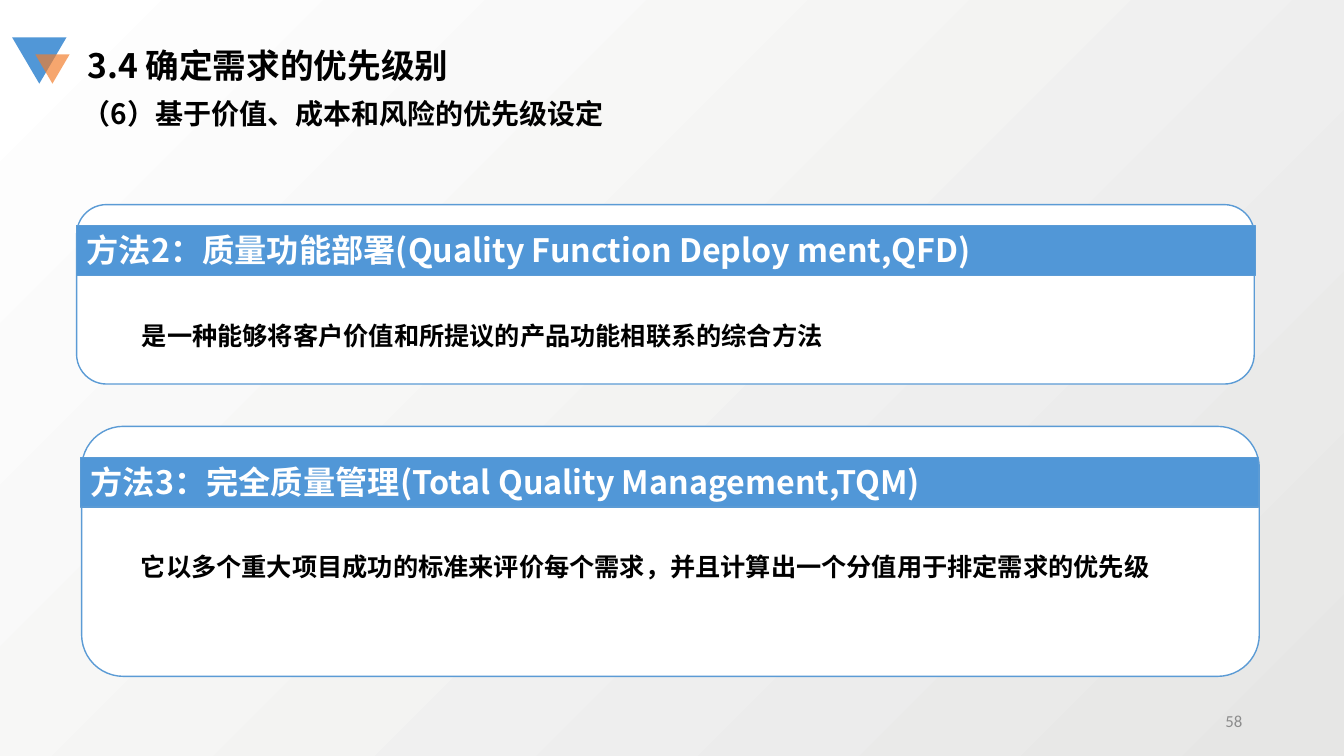
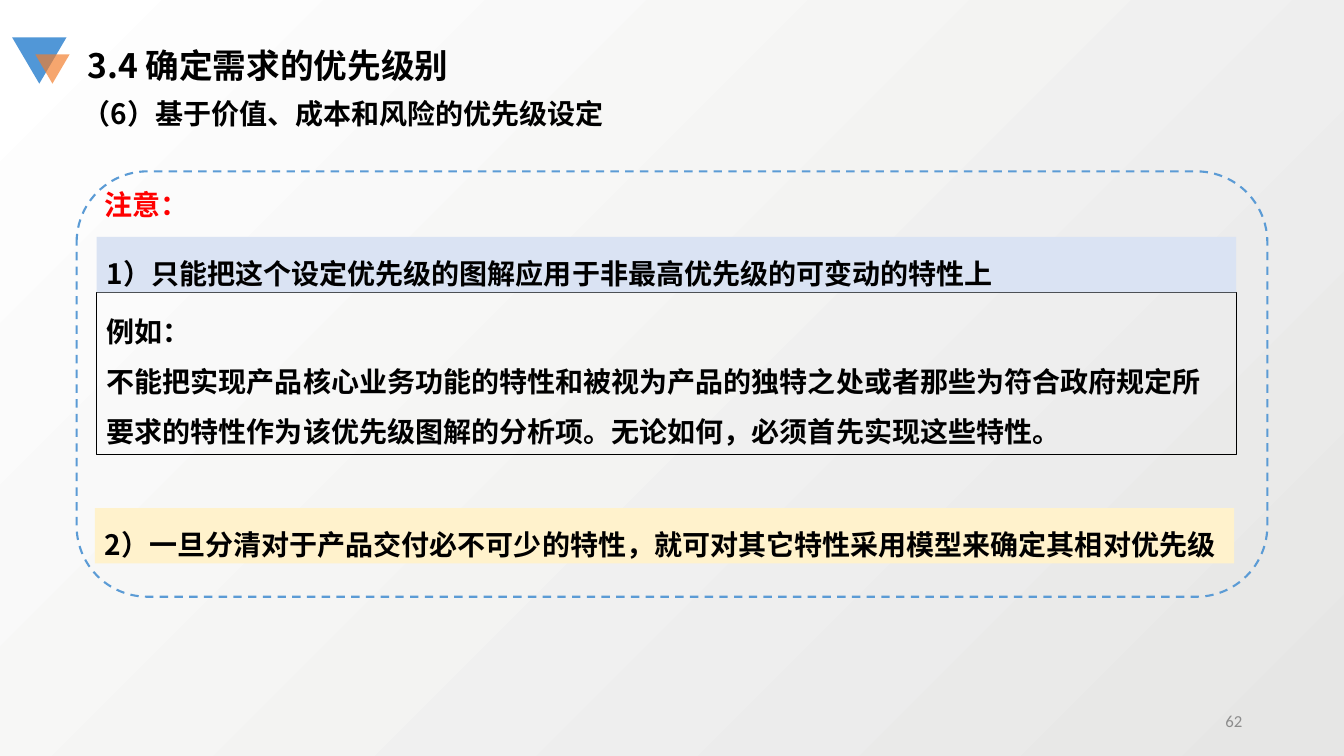
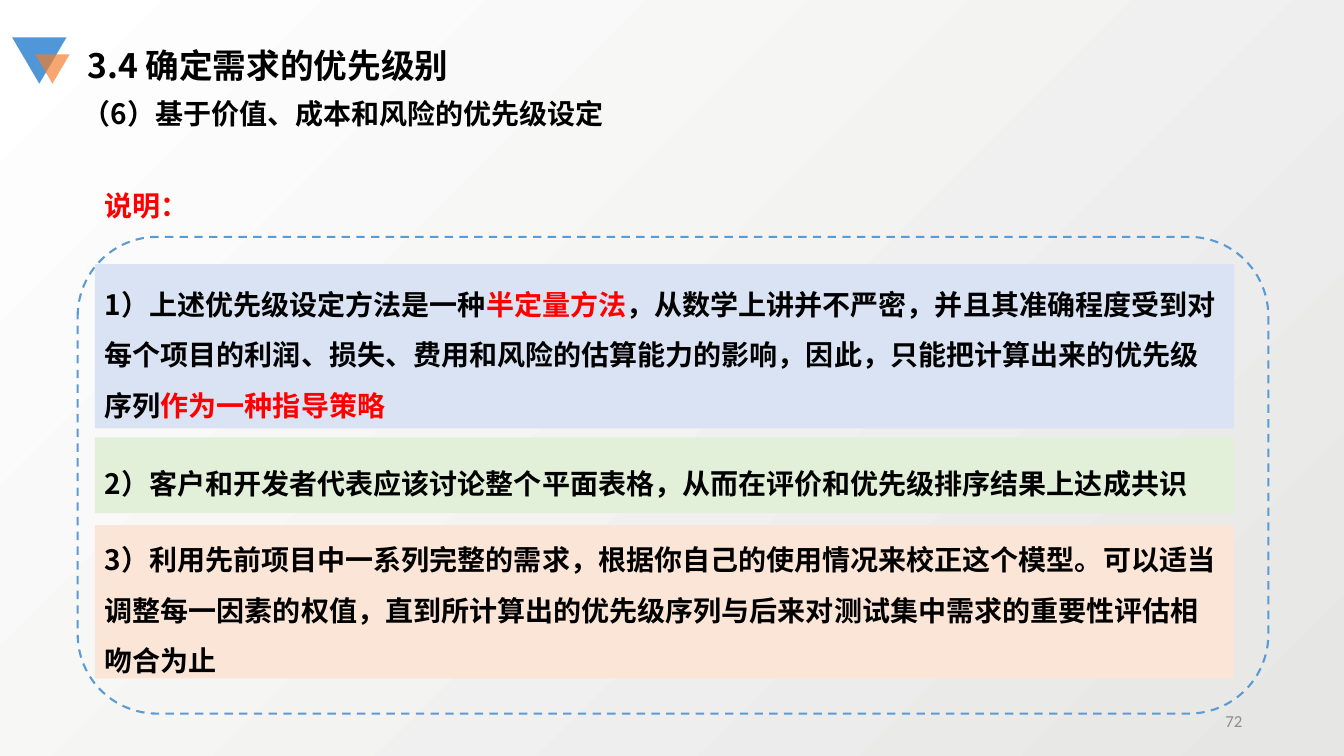
from lxml.etree import SubElement
from pptx import Presentation
from pptx.dml.color import RGBColor
from pptx.enum.dml import MSO_LINE
from pptx.enum.shapes import MSO_SHAPE as Shape
from pptx.enum.text import MSO_ANCHOR as Anchor, PP_ALIGN as Align
from pptx.oxml.ns import qn
from pptx.util import Pt

# Shared look
EMU_PER_PX = 9144  # 100 px to the inch
CJK, LATIN = "Noto Sans CJK SC", "Calibri"
BLACK = RGBColor(0x00, 0x00, 0x00)
WHITE = RGBColor(0xFF, 0xFF, 0xFF)
RED = RGBColor(0xFF, 0x00, 0x00)
GRAY = RGBColor(0x8C, 0x8C, 0x8C)
BACK_DARK = RGBColor(0xE6, 0xE6, 0xE5)
BLUE = RGBColor(0x51, 0x97, 0xD7)
OUTLINE = RGBColor(0x5B, 0x9B, 0xD5)
ORANGE = RGBColor(0xF3, 0x7D, 0x2A)
PALE_BLUE = RGBColor(0xDA, 0xE3, 0xF3)
PALE_YELLOW = RGBColor(0xFF, 0xF2, 0xCC)
PALE_GREEN = RGBColor(0xE2, 0xF0, 0xD9)
PALE_ORANGE = RGBColor(0xFB, 0xE5, 0xD6)

# Content: boxes are (left, top, width, height) in px
TITLE = "3.4 确定需求的优先级别"
SUBTITLE = "（6）基于价值、成本和风险的优先级设定"

CARDS = [(81, 423, 1168, 248), (76, 203, 1168, 178)]
METHODS = [  # band, heading, body box, body
    ((76, 224, 1169, 49), "方法2：质量功能部署(Quality Function Deploy ment,QFD)",
     (81, 298, 1176, 55), "是一种能够将客户价值和所提议的产品功能相联系的综合方法"),
    ((80, 454, 1168, 49), "方法3：完全质量管理(Total Quality Management,TQM)",
     (80, 527, 1127, 55),
     "它以多个重大项目成功的标准来评价每个需求，并且计算出一个分值用于排定需求的优先级"),
]

EXAMPLE = [
    "例如：",
    "不能把实现产品核心业务功能的特性和被视为产品的独特之处或者那些为符合政府规定所"
    "要求的特性作为该优先级图解的分析项。无论如何，必须首先实现这些特性。",
]
CAUTIONS = [  # box, fill, text
    ((96, 235, 1130, 55), PALE_BLUE,
     "1）只能把这个设定优先级的图解应用于非最高优先级的可变动的特性上"),
    ((94, 504, 1130, 55), PALE_YELLOW,
     "2）一旦分清对于产品交付必不可少的特性，就可对其它特性采用模型来确定其相对优先级"),
]
REMARKS = [  # in a tuple, every second part is red
    ((94, 262, 1130, 163), PALE_BLUE,
     ("1）上述优先级设定方法是一种", "半定量方法",
      "，从数学上讲并不严密，并且其准确程度受到对每个项目的利润、损失、费用和风险的"
      "估算能力的影响，因此，只能把计算出来的优先级序列", "作为一种指导策略")),
    ((94, 434, 1130, 75), PALE_GREEN,
     "2）客户和开发者代表应该讨论整个平面表格，从而在评价和优先级排序结果上达成共识"),
    ((94, 521, 1130, 152), PALE_ORANGE,
     "3）利用先前项目中一系列完整的需求，根据你自己的使用情况来校正这个模型。可以适当"
     "调整每一因素的权值，直到所计算出的优先级序列与后来对测试集中需求的重要性评估相吻合为止"),
]


def px(*lengths):
    return [length * EMU_PER_PX for length in lengths]


def add_box(page, box, fill=None, line=None, weight=1, kind=Shape.RECTANGLE, dash=False):
    shape = page.shapes.add_shape(kind, *px(*box))
    shape.shadow.inherit = False
    if fill is None:
        shape.fill.background()
    else:
        shape.fill.solid()
        shape.fill.fore_color.rgb = fill
    if line is None:
        shape.line.fill.background()
    else:
        shape.line.color.rgb = line
        shape.line.width = Pt(weight)
        if dash:
            shape.line.dash_style = MSO_LINE.DASH
    return shape


def write(shape, paras, size=20, color=BLACK, font=CJK, bold=True, spacing=1,
          indent=0, align=Align.LEFT, anchor=Anchor.TOP):
    frame = shape.text_frame
    frame.word_wrap = True
    frame.vertical_anchor = anchor
    for index, parts in enumerate(paras):
        para = frame.paragraphs[0] if index == 0 else frame.add_paragraph()
        para.alignment = align
        para.line_spacing = spacing
        if indent:
            para._p.get_or_add_pPr().set("indent", str(indent * EMU_PER_PX))
        para.font.size = Pt(size)
        para.font.bold = bold
        para.font.color.rgb = color
        para.font.name = font
        SubElement(para.font._element, qn("a:ea"), typeface=CJK)
        for position, text in enumerate([parts] if isinstance(parts, str) else parts):
            span = para.add_run()
            span.text = text
            if position % 2:
                span.font.color.rgb = RED


def add_text(page, box, text, **style):
    write(page.shapes.add_textbox(*px(*box)), [text], **style)


def add_panels(page, panels):
    for box, fill, text in panels:
        write(add_box(page, box, fill), [text], spacing=1.5, anchor=Anchor.MIDDLE)


def add_page(deck, number):
    page = deck.slides.add_slide(deck.slide_layouts[6])
    # Corner mark: two triangles pointing down
    for box, fill in (((12, 37, 54, 46), BLUE), ((35, 54, 34, 29), ORANGE)):
        triangle = add_box(page, box, fill, kind=Shape.ISOSCELES_TRIANGLE)
        triangle.rotation = 180
    color = triangle.fill._xPr.find(qn("a:solidFill"))[0]
    SubElement(color, qn("a:alpha"), val="68000")
    # Title, subtitle and page number
    add_text(page, (77, 40, 411, 50), TITLE, size=24)
    add_text(page, (72, 91, 849, 44), SUBTITLE)
    add_text(page, (942, 695, 300, 40), str(number), size=12, color=GRAY, font=LATIN,
             bold=False, align=Align.RIGHT, anchor=Anchor.MIDDLE)
    return page


def add_dashed_frame(page, box):
    add_box(page, box, line=OUTLINE, weight=1.5, kind=Shape.ROUNDED_RECTANGLE, dash=True)


def build_methods(deck):
    page = add_page(deck, 58)
    for box in CARDS:
        add_box(page, box, WHITE, OUTLINE, kind=Shape.ROUNDED_RECTANGLE)
    for band, heading, body_box, body in METHODS:
        write(add_box(page, band, BLUE, OUTLINE, 0.75), [heading], size=23, color=WHITE)
        add_text(page, body_box, body, size=18, spacing=1.5, indent=50)


def build_cautions(deck):
    page = add_page(deck, 62)
    write(add_box(page, (96, 290, 1130, 161), line=BLACK, weight=0.75), EXAMPLE, spacing=1.5)
    add_dashed_frame(page, (76, 170, 1181, 422))
    add_text(page, (94, 181, 806, 44), "注意：", color=RED)
    add_panels(page, CAUTIONS)


def build_remarks(deck):
    page = add_page(deck, 72)
    add_text(page, (94, 165, 480, 60), "说明：", color=RED, spacing=1.5)
    add_dashed_frame(page, (77, 235, 1181, 473))
    add_panels(page, REMARKS)


def main():
    deck = Presentation()
    deck.slide_width, deck.slide_height = px(1333, 750)
    # Background, darkest at the lower right
    back = deck.slide_master.background.fill
    back.gradient()
    back.gradient_angle = 135
    for stop, color, position in zip(back.gradient_stops, (BACK_DARK, WHITE), (0, 1)):
        stop.color.rgb = color
        stop.position = position
    for build in (build_methods, build_cautions, build_remarks):
        build(deck)
    deck.save("out.pptx")


if __name__ == "__main__":
    main()
